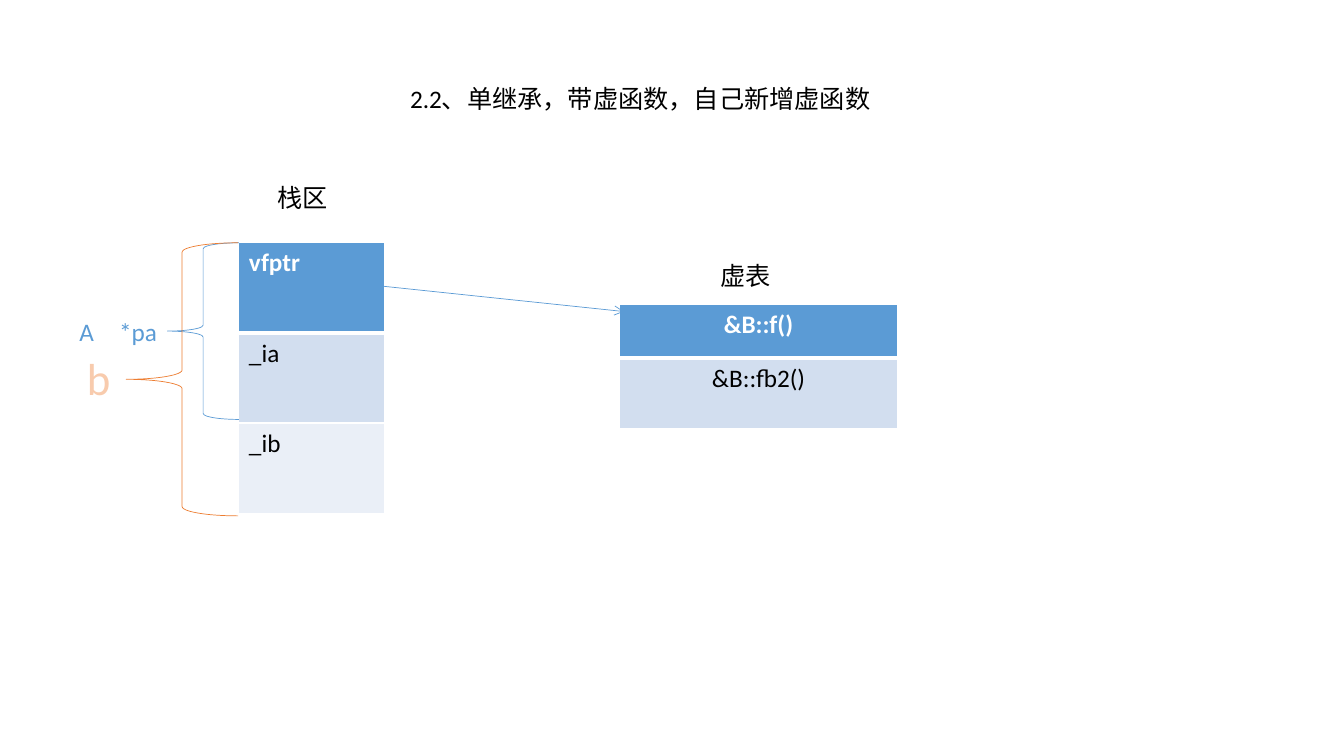
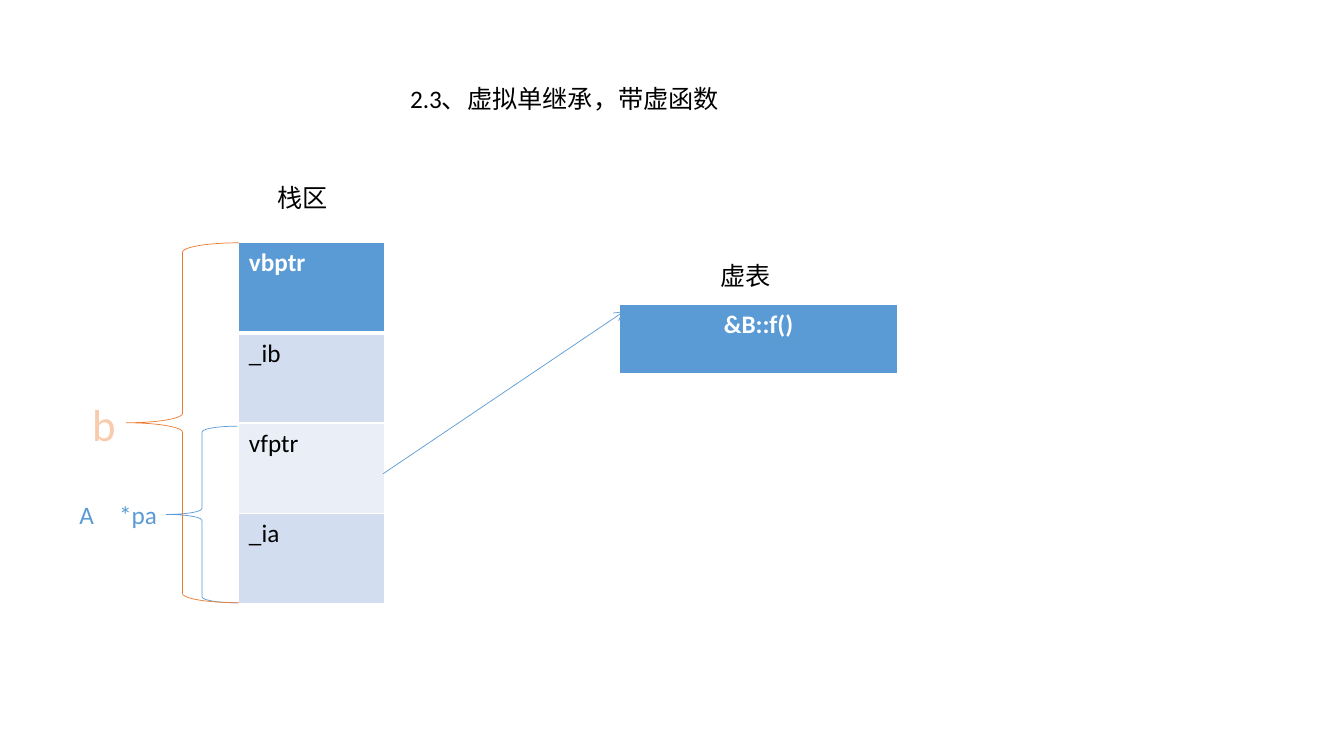
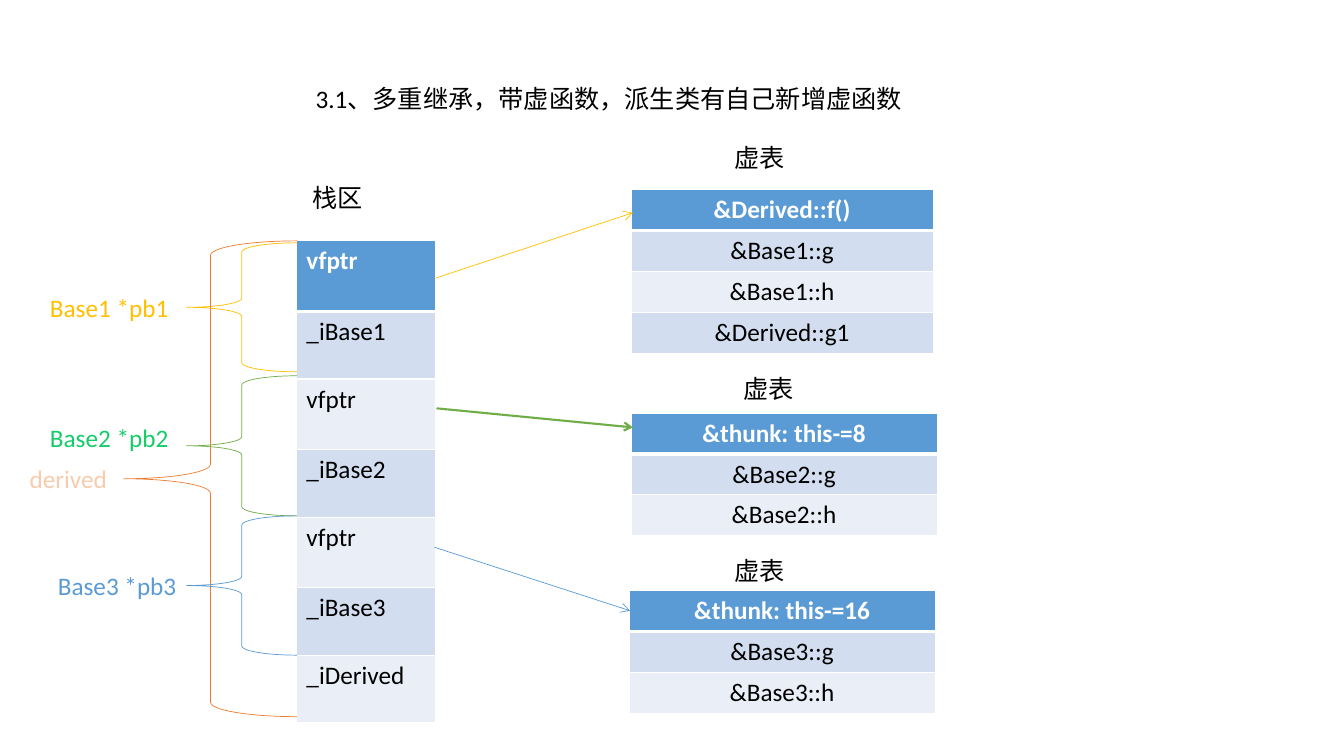
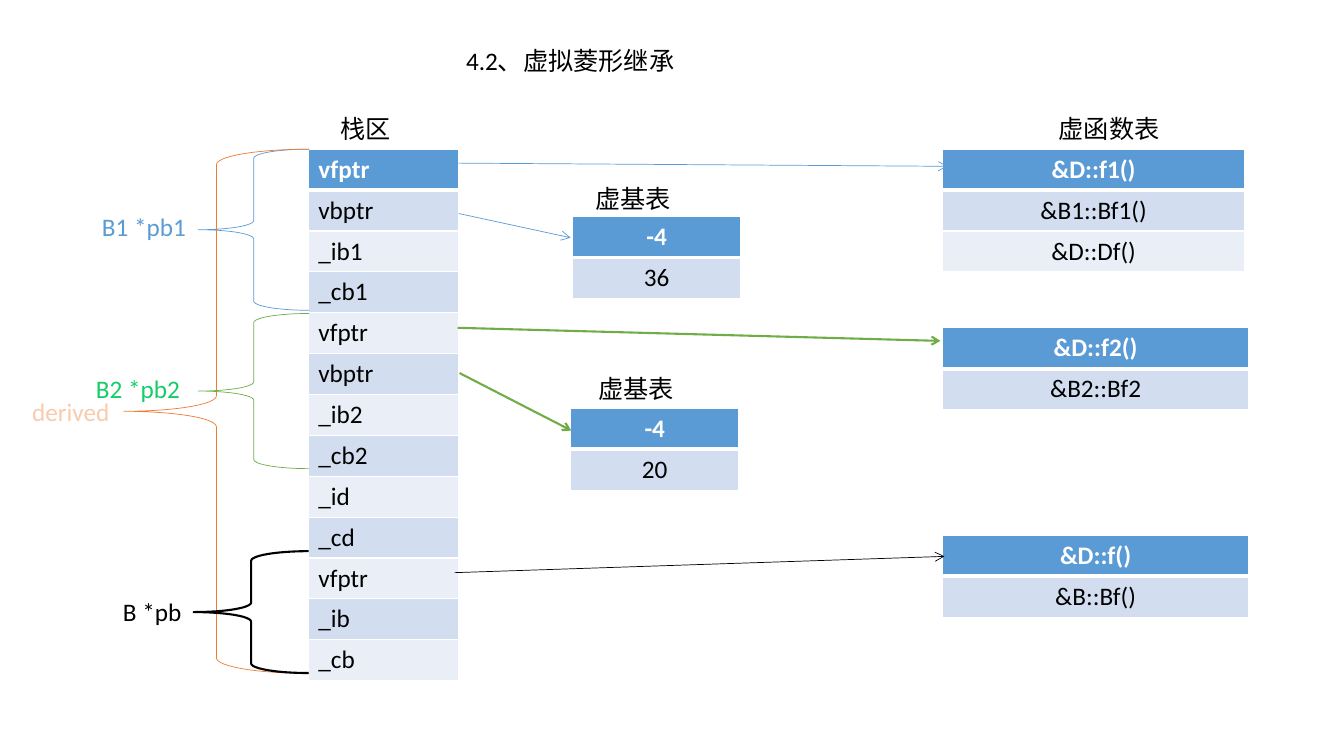
from lxml import etree
from pptx import Presentation
from pptx.dml.color import RGBColor
from pptx.enum.shapes import MSO_CONNECTOR, MSO_SHAPE
from pptx.enum.text import MSO_ANCHOR, MSO_AUTO_SIZE, PP_ALIGN
from pptx.oxml.ns import qn
from pptx.util import Cm, Pt

LEFT, CENTER = PP_ALIGN.LEFT, PP_ALIGN.CENTER
TOP, NO_FIT = MSO_ANCHOR.TOP, MSO_AUTO_SIZE.NONE
BRACE, STRAIGHT = MSO_SHAPE.LEFT_BRACE, MSO_CONNECTOR.STRAIGHT

BLACK = RGBColor(0x00, 0x00, 0x00)
WHITE = RGBColor(0xFF, 0xFF, 0xFF)
BLUE = RGBColor(0x5B, 0x9B, 0xD5)
ORANGE = RGBColor(0xED, 0x7D, 0x31)
PEACH = RGBColor(0xF8, 0xCB, 0xAD)
GOLD = RGBColor(0xFF, 0xC0, 0x00)
GREEN = RGBColor(0x70, 0xAD, 0x47)
BRIGHT_GREEN = RGBColor(0x14, 0xCD, 0x68)
DARK_GREEN = RGBColor(0x0B, 0x6E, 0x38)
TEAL = RGBColor(0x03, 0x5C, 0x7D)
BANDS = [RGBColor(0xEA, 0xEF, 0xF7), RGBColor(0xD2, 0xDE, 0xEF)]

THIN, THICK = 0.5, 1.5
ROW = 1.02       # one line of text
TWO_LINES = 1.78
HEADING_W = 5
LABEL_W = 3.8


def write(tf, text, color=BLACK, align=LEFT, size=18, bold=False):
    """Put one formatted line in a text frame; a list of two colours is a gradient."""
    p = tf.paragraphs[0]
    p.alignment = align
    r = p.add_run()
    r.text = text
    for name, value in {"name": "Calibri", "size": Pt(size), "bold": bold}.items():
        setattr(r.font, name, value)
    if isinstance(color, list):
        r.font.fill.gradient()
        r.font.fill.gradient_angle = 0
        for stop, rgb in zip(r.font.fill.gradient_stops, color):
            stop.color.rgb = rgb
    else:
        r.font.color.rgb = color
    return p, r


def add_line_xml(parent, index, tag, width, color):
    """Insert an outline or a cell border as a child of parent."""
    ln = etree.Element(qn(tag), w=str(Pt(width)))
    fill = etree.SubElement(ln, qn("a:solidFill"))
    etree.SubElement(fill, qn("a:srgbClr"), val=str(color))
    parent.insert(index, ln)


# Lengths in cm.
# tables: left, top, width, alignment, row heights, cells
# braces: left, top, width, height, colour, line width
# arrows: x1, y1, x2, y2, colour, line width
# headings: centre, top, text; labels: left, top, text, colour, size
SLIDES = [
    {
        "title": (10.08, 1.96, "2.2、单继承，带虚函数，自己新增虚函数"),
        "tables": [
            (6.02, 6.12, 3.68, LEFT, [2.27] * 3, ["vfptr", "_ia", "_ib"]),
            (15.62, 7.67, 6.99, CENTER, [1.35, TWO_LINES], ["&B::f()", "&B::fb2()"]),
        ],
        "braces": [(4.22, 6.12, 1.8, 4.45, BLUE, THIN),
                   (3.18, 6.12, 2.82, 6.88, ORANGE, THIN)],
        "arrows": [(9.63, 7.21, 15.72, 7.85, BLUE, THIN)],
        "headings": [(7.63, 4.47, "栈区"), (18.8, 6.43, "虚表")],
        "labels": [(1.94, 8.71, "b", PEACH, 32), (1.75, 7.85, "A\t*pa", BLUE, 18)],
    },
    {
        "title": (10.08, 1.96, "2.3、虚拟单继承，带虚函数"),
        "tables": [
            (6.02, 6.12, 3.68, LEFT, [2.27] * 4, ["vbptr", "_ib", "vfptr", "_ia"]),
            (15.62, 7.67, 6.99, CENTER, [TWO_LINES], ["&B::f()"]),
        ],
        "braces": [(4.19, 10.74, 1.8, 4.45, BLUE, THIN),
                   (3.18, 6.12, 2.84, 9.07, ORANGE, THIN)],
        "arrows": [(9.65, 11.94, 15.72, 7.85, BLUE, THIN)],
        "headings": [(7.63, 4.47, "栈区"), (18.8, 6.43, "虚表")],
        "labels": [(2.07, 9.86, "b", PEACH, 32), (1.75, 12.45, "A\t*pa", BLUE, 18)],
    },
    {
        "title": (7.7, 1.96, "3.1、多重继承，带虚函数，派生类有自己新增虚函数"),
        "tables": [
            (7.47, 6.07, 3.51, LEFT, [TWO_LINES, 1.7] * 3 + [1.7],
             ["vfptr", "_iBase1", "vfptr", "_iBase2", "vfptr", "_iBase3", "_iDerived"]),
            (15.9, 4.78, 7.62, CENTER, [ROW] * 4,
             ["&Derived::f()", "&Base1::g", "&Base1::h", "&Derived::g1"]),
            (15.9, 10.41, 7.72, CENTER, [ROW] * 3,
             ["&thunk: this-=8", "&Base2::g", "&Base2::h"]),
            (15.85, 14.88, 7.72, CENTER, [ROW] * 3,
             ["&thunk: this-=16", "&Base3::g", "&Base3::h"]),
        ],
        "braces": [(4.7, 6.12, 2.79, 3.25, GOLD, THIN),
                   (3.12, 6.07, 4.37, 11.99, ORANGE, THIN),
                   (4.7, 9.47, 2.79, 3.53, GREEN, THIN),
                   (4.7, 13, 2.79, 3.51, BLUE, THIN)],
        "arrows": [(10.97, 7.01, 15.95, 5.36, GOLD, THIN),
                   (11, 10.29, 15.95, 10.77, GREEN, THICK),
                   (10.95, 13.79, 15.88, 15.39, BLUE, THIN)],
        "headings": [(8.5, 4.47, "栈区"), (19.15, 3.45, "虚表"),
                     (19.38, 9.27, "虚表"), (19.15, 13.87, "虚表")],
        "labels": [(0.5, 11.56, "derived", PEACH, 18),
                   (1.01, 7.24, "Base1 *pb1", GOLD, 18),
                   (1.01, 10.52, "Base2 *pb2", [BRIGHT_GREEN, DARK_GREEN], 18),
                   (1.21, 14.25, "Base3 *pb3", BLUE, 18)],
    },
    {
        "title": (11.49, 1.02, "4.2、虚拟菱形继承"),
        "tables": [
            (7.77, 3.76, 3.78, LEFT, [ROW] * 13,
             ["vfptr", "vbptr", "_ib1", "_cb1", "vfptr", "vbptr", "_ib2", "_cb2",
              "_id", "_cd", "vfptr", "_ib", "_cb"]),
            (23.75, 3.76, 7.62, CENTER, [ROW] * 3, ["&D::f1()", "&B1::Bf1()", "&D::Df()"]),
            (23.75, 8.26, 7.72, CENTER, [ROW] * 2, ["&D::f2()", "&B2::Bf2"]),
            (23.75, 13.49, 7.72, CENTER, [ROW] * 2, ["&D::f()", "&B::Bf()"]),
            (14.38, 10.29, 4.24, CENTER, [ROW] * 2, ["-4", "20"]),
            (14.43, 5.46, 4.24, CENTER, [ROW] * 2, ["-4", "36"]),
        ],
        "braces": [(5, 3.76, 2.79, 4.06, BLUE, THIN),
                   (3.12, 3.76, 4.67, 13.21, ORANGE, THIN),
                   (5, 7.9, 2.79, 3.91, GREEN, THIN),
                   (4.88, 13.89, 2.9, 3.07, BLACK, THICK)],
        "arrows": [(11.48, 4.11, 23.88, 4.19, BLUE, THIN),
                   (11.53, 8.26, 23.7, 8.59, GREEN, THICK),
                   (11.46, 14.43, 23.8, 14.02, BLACK, THIN),
                   (11.56, 5.38, 14.38, 5.99, BLUE, THIN),
                   (11.58, 9.4, 14.4, 10.85, GREEN, THICK)],
        "headings": [(9.22, 2.74, "栈区"), (27.95, 2.74, "虚函数表"),
                     (15.95, 4.5, "虚基表"), (16.03, 9.27, "虚基表")],
        "labels": [(0.56, 9.86, "derived", PEACH, 18),
                   (2.32, 5.21, "B1 *pb1", BLUE, 18),
                   (2.17, 9.27, "B2 *pb2", [BRIGHT_GREEN, TEAL], 18),
                   (2.85, 14.91, "B *pb", BLACK, 18)],
    },
]

prs = Presentation()
prs.slide_width, prs.slide_height = Cm(33.87), Cm(19.05)

for content in SLIDES:
    s = prs.slides.add_slide(prs.slide_layouts[5])

    # Title
    left, top, text = content["title"]
    title = s.shapes.title
    for name, value in {"left": left, "top": top, "width": 16, "height": ROW}.items():
        setattr(title, name, Cm(value))
    tf = title.text_frame
    for name, value in {"word_wrap": True, "auto_size": NO_FIT,
                        "vertical_anchor": TOP}.items():
        setattr(tf, name, value)
    write(tf, text)

    # Memory and function tables
    for left, top, width, align, heights, cells in content["tables"]:
        table = s.shapes.add_table(len(cells), 1, Cm(left), Cm(top),
                                   Cm(width), Cm(sum(heights))).table
        for i, (height, text) in enumerate(zip(heights, cells)):
            table.rows[i].height = Cm(height)
            cell = table.cell(i, 0)
            header = i == 0
            borders = {"a:lnL": 1, "a:lnR": 1, "a:lnT": 3 if i == 1 else 1,
                       "a:lnB": 3 if header else 1}
            tcPr = cell._tc.get_or_add_tcPr()
            for k, (tag, line_width) in enumerate(borders.items()):
                add_line_xml(tcPr, k, tag, line_width, WHITE)
            cell.fill.solid()
            cell.fill.fore_color.rgb = BLUE if header else BANDS[i % 2]
            write(cell.text_frame, text, WHITE if header else BLACK, align, bold=header)

    # Braces
    for left, top, width, height, color, line_width in content["braces"]:
        sp = s.shapes.add_shape(BRACE, Cm(left), Cm(top), Cm(width), Cm(height))
        sp.shadow.inherit = False
        sp.fill.background()
        sp.line.color.rgb = color
        sp.line.width = Pt(line_width)

    # Pointer arrows
    for x1, y1, x2, y2, color, line_width in content["arrows"]:
        arrow = s.shapes.add_connector(STRAIGHT, Cm(x1), Cm(y1), Cm(x2), Cm(y2))
        arrow.line.color.rgb = color
        arrow.line.width = Pt(line_width)
        etree.SubElement(arrow.line._get_or_add_ln(), qn("a:tailEnd"), type="arrow")
        etree.SubElement(arrow._element.spPr, qn("a:effectLst"))

    # Table headings, centred on a point
    for center, top, text in content["headings"]:
        box = s.shapes.add_textbox(Cm(center - HEADING_W / 2), Cm(top),
                                   Cm(HEADING_W), Cm(ROW))
        box.text_frame.word_wrap = True
        write(box.text_frame, text, align=CENTER)

    # Brace labels
    for left, top, text, color, size in content["labels"]:
        box = s.shapes.add_textbox(Cm(left), Cm(top), Cm(LABEL_W), Cm(ROW * size / 18))
        box.text_frame.word_wrap = True
        p, r = write(box.text_frame, text, color, size=size)
        if color == PEACH:
            add_line_xml(r.font._element, 0, "a:ln", 1.75, ORANGE)
        if "\t" in text:
            tabs = etree.SubElement(p._p.get_or_add_pPr(), qn("a:tabLst"))
            etree.SubElement(tabs, qn("a:tab"), pos=str(Cm(1)), algn="l")

prs.save("out.pptx")
